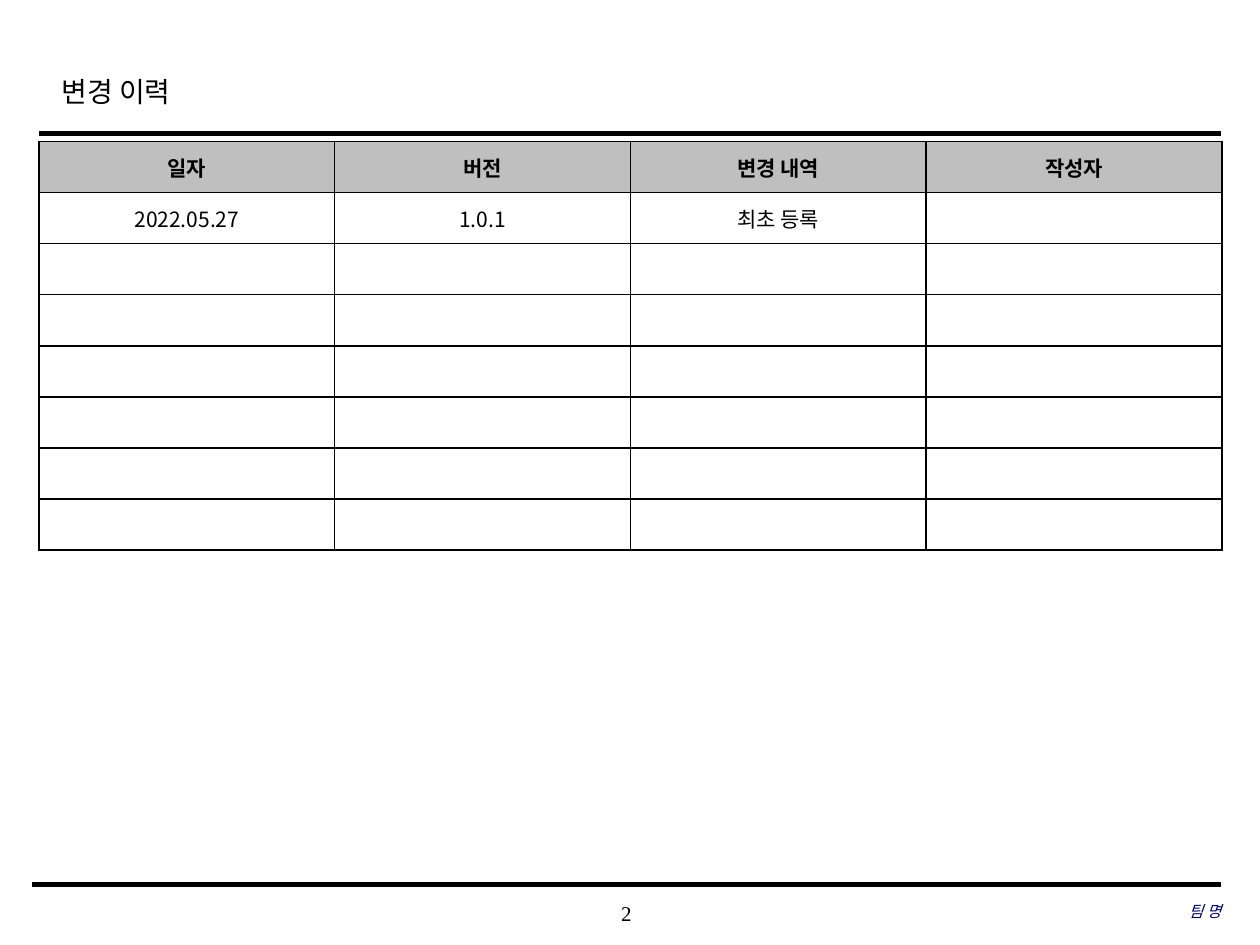
from lxml import etree
from pptx import Presentation, oxml
from pptx.dml.color import RGBColor
from pptx.enum import shapes, text
from pptx.oxml import ns
from pptx.util import Pt

HEX = {"ink": "000000", "navy": "000066", "head": "BFBFBF", "paper": "FFFFFF"}
SANS, SERIF = "Noto Sans CJK KR", "Times New Roman"
ALIGN, ANCHOR = text.PP_ALIGN, text.MSO_ANCHOR
LEFT, RIGHT = 22.3, 697.7
ROWS = [
    ["일자", "버전", "변경 내역", "작성자"],
    ["2022.05.27", "1.0.1", "최초 등록", ""],
] + [[""] * 4 for _ in range(6)]


def color(name):
    return RGBColor.from_string(HEX[name])


def assign(item, values):
    for key, value in values.items():
        setattr(item, key, value)


def write(para, words, size, face, tint="ink", **style):
    """Add a run with the given Latin face and the Korean sans face."""
    run = para.add_run()
    run.text = words
    assign(run.font, {"size": Pt(size), "name": face, **style})
    run.font.color.rgb = color(tint)
    far = etree.SubElement(run.font._element, ns.qn("a:ea"))
    far.set("typeface", SANS)


def label(slide, box, words, size, frame, para, **style):
    area = slide.shapes.add_textbox(*map(Pt, box)).text_frame
    assign(area, {"word_wrap": True, **frame})
    line = area.paragraphs[0]
    assign(line, para)
    write(line, words, size, SERIF, **style)


def rule(slide, left, top, width):
    """Draw a black line across the slide to the right margin."""
    line = slide.shapes.add_connector(
        shapes.MSO_CONNECTOR.STRAIGHT, Pt(left), Pt(top), Pt(RIGHT), Pt(top))
    line.line.color.rgb = color("ink")
    line.line.width = Pt(width)
    etree.SubElement(line._element.spPr, ns.qn("a:effectLst"))


def border(cell):
    """Insert the four edges ahead of the cell's fill."""
    props = cell._tc.get_or_add_tcPr()
    for spot, side in enumerate("LRTB"):
        props.insert(spot, oxml.parse_xml(
            f'<a:ln{side} {ns.nsdecls("a")} w="{Pt(1)}"><a:solidFill>'
            f'<a:srgbClr val="{HEX["ink"]}"/></a:solidFill></a:ln{side}>'))


def grid(slide, left, top, wide, high):
    frame = slide.shapes.add_table(
        len(ROWS), len(ROWS[0]), Pt(left), Pt(top),
        Pt(wide * len(ROWS[0])), Pt(high * len(ROWS)))
    table = frame.table
    for col in table.columns:
        col.width = Pt(wide)
    for i, row in enumerate(ROWS):
        table.rows[i].height = Pt(high)
        for j, words in enumerate(row):
            cell = table.cell(i, j)
            assign(cell, {"vertical_anchor": ANCHOR.MIDDLE,
                          "margin_top": 0, "margin_bottom": 0})
            cell.fill.solid()
            cell.fill.fore_color.rgb = color("paper" if i else "head")
            border(cell)
            if words:
                para = cell.text_frame.paragraphs[0]
                para.alignment = ALIGN.CENTER
                write(para, words, 12, SANS, bold=i == 0)


def main():
    deck = Presentation()
    assign(deck, {"slide_width": Pt(720), "slide_height": Pt(540)})
    slide = deck.slides.add_slide(deck.slide_layouts[6])
    tight = {"vertical_anchor": ANCHOR.MIDDLE, "margin_left": 0,
             "margin_right": 0, "margin_top": 0, "margin_bottom": 0}
    label(slide, (283, 509.8, 149.8, 23.8), "2", 12, tight,
          {"alignment": ALIGN.CENTER})
    rule(slide, LEFT, 76.3, 2.5)
    rule(slide, 18, 505.4, 3)
    label(slide, (28.1, 35.3, 543.6, 36), "변경 이력", 16, {},
          {"line_spacing": 1.2})
    label(slide, (477.4, 509, 220.3, 23.8), "팀 명", 9, tight,
          {"alignment": ALIGN.RIGHT}, tint="navy", italic=True)
    grid(slide, LEFT, 80.8, 169, 29.2)
    deck.save("out.pptx")


if __name__ == "__main__":
    main()
